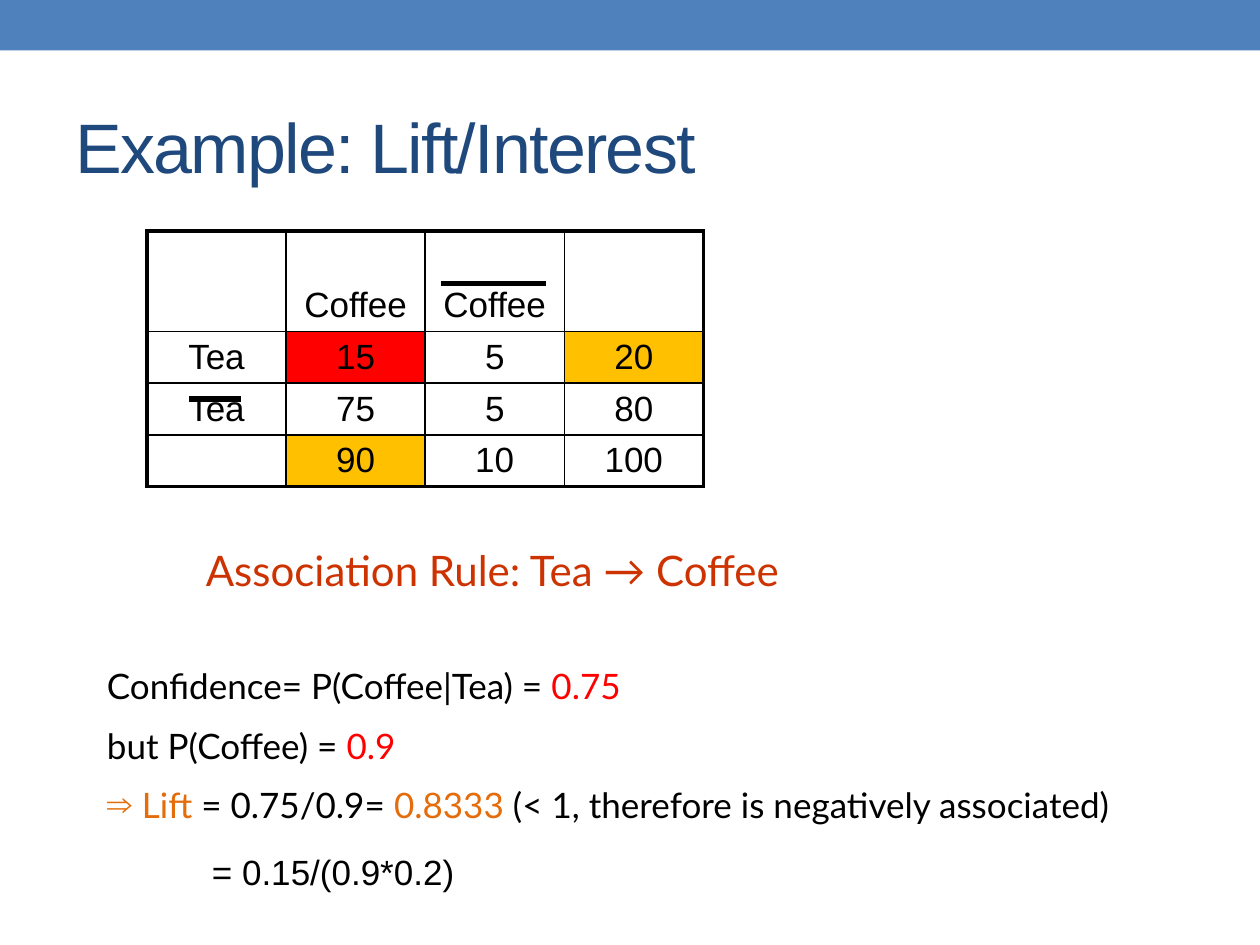
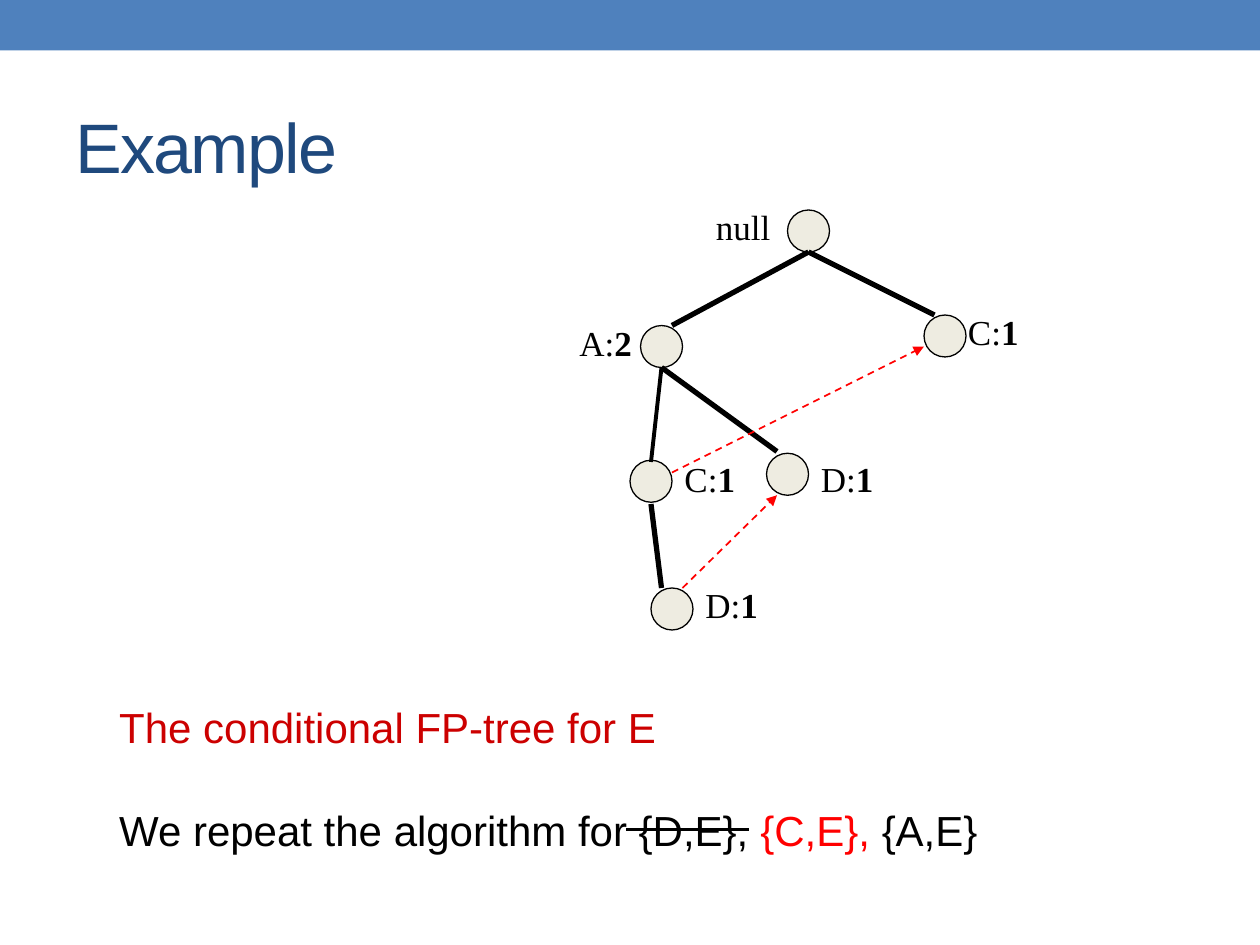
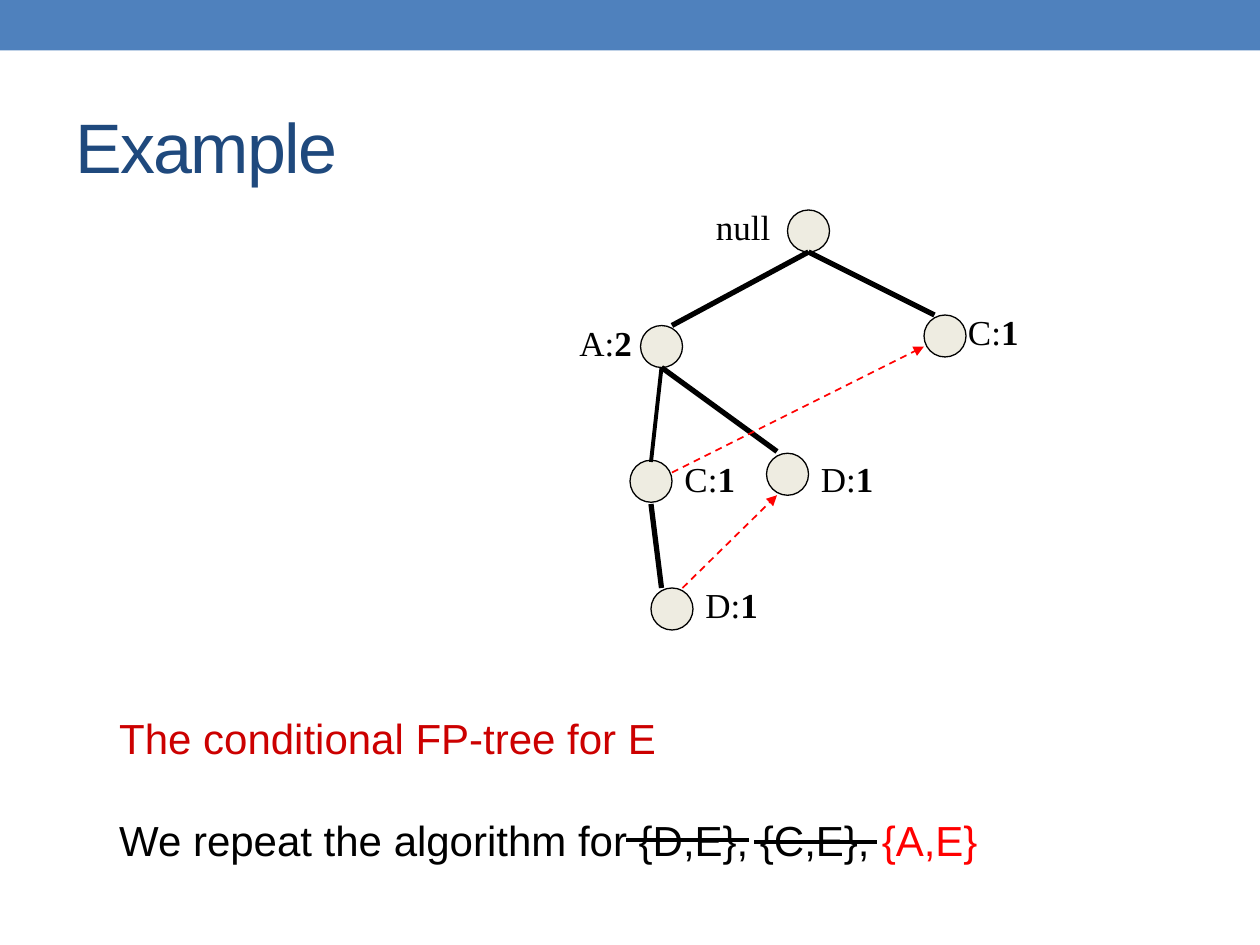
from dataclasses import dataclass
from typing import NamedTuple

from lxml import etree
from pptx import Presentation
from pptx.dml.color import RGBColor
from pptx.enum import dml, shapes, text
from pptx.oxml import ns
from pptx.util import Pt


@dataclass(frozen=True)
class Theme:
    band: str = "4F81BD"
    title: str = "1F497D"
    ink: str = "000000"
    paper: str = "FFFFFF"
    node: str = "EEECE1"
    red: str = "FF0000"
    gold: str = "FFC000"
    rule: str = "CC3300"
    head: str = "CC0000"
    lift: str = "E46C0A"
    sans: str = "Arial"
    body: str = "Lato"
    serif: str = "Times New Roman"
    big: float = 40
    mid: float = 24
    small: float = 20
    thin: float = 1
    edge: float = 2.25
    bold: float = 3


T = Theme()


class Box(NamedTuple):
    x: float
    y: float
    w: float
    h: float


class Run(NamedTuple):
    words: str
    color: str = T.ink
    bold: bool = False


class Para(NamedTuple):
    runs: list[Run]
    size: float = T.small
    gap: float = 0
    left: float = 0
    bullet: str = ""


class Line(NamedTuple):
    x1: float
    y1: float
    x2: float
    y2: float
    width: float = T.bold
    color: str = T.ink
    arrow: bool = False


class Node(NamedTuple):
    """A tree node with its own corner and the corner of its label."""
    x: float
    y: float
    label_x: float
    label_y: float
    name: str
    count: str = ""


SIDE = 24
NODES = [
    Node(450, 120, 402, 114, "null"),
    Node(366, 186, 324, 180, "A:", "2"),
    Node(528, 180, 546, 174, "C:", "1"),
    Node(360, 263, 384, 258, "C:", "1"),
    Node(438, 259, 462, 258, "D:", "1"),
    Node(372, 336, 396, 330, "D:", "1"),
]
EDGES = [
    Line(462, 144, 384, 186),
    Line(462, 144, 534, 180),
    Line(372, 264, 378, 210, T.edge),
    Line(372, 288, 378, 336),
    Line(444, 258, 378, 210),
    Line(390, 336, 444, 283, T.thin, T.red, True),
    Line(384, 270, 528, 198, T.thin, T.red, True),
]


def rgb(code: str) -> RGBColor:
    return RGBColor.from_string(code)


def child(parent, tag: str, **attrs: str):
    return etree.SubElement(parent, ns.qn(tag), attrs)


def write(para, words: str, *, size: float = T.small, face: str = T.sans,
          color: str = T.ink, bold: bool = False, track: float = 0) -> None:
    run = para.add_run()
    run.text = words
    font = run.font
    font.size, font.name, font.bold = Pt(size), face, bold
    font.color.rgb = rgb(color)
    if track:
        run._r.get_or_add_rPr().set("spc", str(round(track * 100)))


def frame(slide, box: Box, anchor=text.MSO_ANCHOR.BOTTOM):
    area = slide.shapes.add_textbox(*map(Pt, box)).text_frame
    area.word_wrap = True
    area.vertical_anchor = anchor
    return area


def block(slide, box: Box, paras: list[Para], face: str = T.sans,
          anchor=text.MSO_ANCHOR.BOTTOM) -> None:
    """Fill a text box with formatted paragraphs."""
    area = frame(slide, box, anchor)
    for i, item in enumerate(paras):
        para = area.add_paragraph() if i else area.paragraphs[0]
        para.space_before = Pt(item.gap)
        props = para._p.get_or_add_pPr()
        props.set("marL", str(Pt(item.left)))
        if item.bullet:
            props.set("indent", str(-Pt(item.left)))
            child(props, "a:buFont", typeface=T.serif)
            child(props, "a:buChar", char=item.bullet)
        for run in item.runs:
            write(para, run.words, size=item.size, face=face,
                  color=run.color, bold=run.bold)


def shape(slide, kind, box: Box, fill: str, edge: float = 0) -> None:
    item = slide.shapes.add_shape(kind, *map(Pt, box))
    item.shadow.inherit = False
    item.fill.solid()
    item.fill.fore_color.rgb = rgb(fill)
    if edge:
        item.line.color.rgb = rgb(T.ink)
        item.line.width = Pt(edge)
    else:
        item.line.fill.background()


def draw(slide, line: Line) -> None:
    item = slide.shapes.add_connector(
        shapes.MSO_CONNECTOR.STRAIGHT, *map(Pt, line[:4]))
    item.line.color.rgb = rgb(line.color)
    item.line.width = Pt(line.width)
    if line.arrow:
        item.line.dash_style = dml.MSO_LINE.DASH
        child(item.line._get_or_add_ln(), "a:tailEnd", type="triangle")
    child(item._element.spPr, "a:effectLst")


def start(deck, title: str):
    """Add a slide with the top band and its title."""
    slide = deck.slides.add_slide(deck.slide_layouts[6])
    shape(slide, shapes.MSO_SHAPE.RECTANGLE, Box(0, 0, 720, 28.8), T.band)
    area = frame(slide, Box(36, 44, 648, 78), text.MSO_ANCHOR.MIDDLE)
    write(area.paragraphs[0], title, size=T.big, color=T.title, track=-1)
    return slide


def border(cell, row: int, col: int, last: int) -> None:
    """Rule all four sides of a cell, heavier on the table's outside."""
    props = cell._tc.get_or_add_tcPr()
    outer = {"L": col == 0, "R": col == last, "T": row == 0, "B": row == last}
    for side, heavy in outer.items():
        width = T.edge if heavy else T.thin
        line = child(props, f"a:ln{side}", w=str(Pt(width)))
        child(child(line, "a:solidFill"), "a:srgbClr", val=T.ink)


def counts(slide) -> None:
    """Draw the table of tea and coffee counts."""
    rows = [["", "Coffee", "Coffee", ""], ["Tea", "15", "5", "20"],
            ["Tea", "75", "5", "80"], ["", "90", "10", "100"]]
    fills = {(1, 1): T.red, (1, 3): T.gold, (3, 1): T.gold}
    size = len(rows)
    wide, top, high = 79.5, 57.5, 29.5
    grid = slide.shapes.add_table(
        size, size, Pt(84), Pt(132), Pt(wide * size),
        Pt(top + high * (size - 1))).table
    grid.first_row = grid.horz_banding = False
    for r, row in enumerate(rows):
        grid.columns[r].width = Pt(wide)
        grid.rows[r].height = Pt(high if r else top)
        for c, words in enumerate(row):
            cell = grid.cell(r, c)
            border(cell, r, c, size - 1)
            cell.fill.solid()
            cell.fill.fore_color.rgb = rgb(fills.get((r, c), T.paper))
            cell.margin_left = cell.margin_right = cell.margin_top = 0
            cell.margin_bottom = Pt(0 if r else 4)
            cell.vertical_anchor = (text.MSO_ANCHOR.MIDDLE if r
                                    else text.MSO_ANCHOR.BOTTOM)
            if words:
                para = cell.text_frame.paragraphs[0]
                para.alignment = text.PP_ALIGN.CENTER
                write(para, words)


def lift(deck) -> None:
    slide = start(deck, "Example: Lift/Interest")
    counts(slide)
    draw(slide, Line(252, 162, 312, 162))
    draw(slide, Line(108, 228, 138, 228))
    block(slide, Box(54, 307.5, 636, 174), [
        Para([Run("Association Rule: Tea → Coffee", T.rule)], T.mid, left=56.5),
        Para([Run("Confidence= P(Coffee|Tea) = "), Run("0.75", T.red)], gap=40),
        Para([Run("but P(Coffee) = "), Run("0.9", T.red)], gap=10),
        Para([Run("Lift ", T.lift), Run("= 0.75/0.9= "), Run("0.8333", T.lift),
              Run(" (< 1, therefore is negatively associated)")],
             gap=10, left=20, bullet="⇒"),
    ], T.body, text.MSO_ANCHOR.TOP)
    block(slide, Box(114, 481.5, 159, 32), [Para([Run("= 0.15/(0.9*0.2)")])])


def tree(deck, top: float, sets: list[Run], strikes: list[Line]) -> None:
    """Add a slide with the FP-tree, the item sets and their strikes."""
    slide = start(deck, "Example")
    for node in NODES:
        shape(slide, shapes.MSO_SHAPE.OVAL,
              Box(node.x, node.y, SIDE, SIDE), T.node, 0.75)
        runs = [Run(node.name)]
        if node.count:
            runs.append(Run(node.count, bold=True))
        block(slide, Box(node.label_x, node.label_y, 48, 31),
              [Para(runs)], T.serif)
    block(slide, Box(61, top, 539, 94.5), [
        Para([Run("The conditional FP-tree for E", T.head)], T.mid),
        Para([Run("We repeat the algorithm for "), *sets], T.mid, gap=30),
    ])
    for line in EDGES + strikes:
        draw(slide, line)


def main() -> None:
    deck = Presentation()
    deck.slide_width, deck.slide_height = Pt(720), Pt(540)
    lift(deck)
    tree(deck, 397.5,
         [Run("{D,E}, "), Run("{C,E}, ", T.red), Run("{A,E}")],
         [Line(358, 474, 428, 474, T.edge)])
    tree(deck, 403.5,
         [Run("{D,E}, {C,E}, "), Run("{A,E}", T.red)],
         [Line(358, 480, 428, 480, T.edge), Line(431, 481, 501, 481, T.edge)])
    deck.save("out.pptx")


if __name__ == "__main__":
    main()
